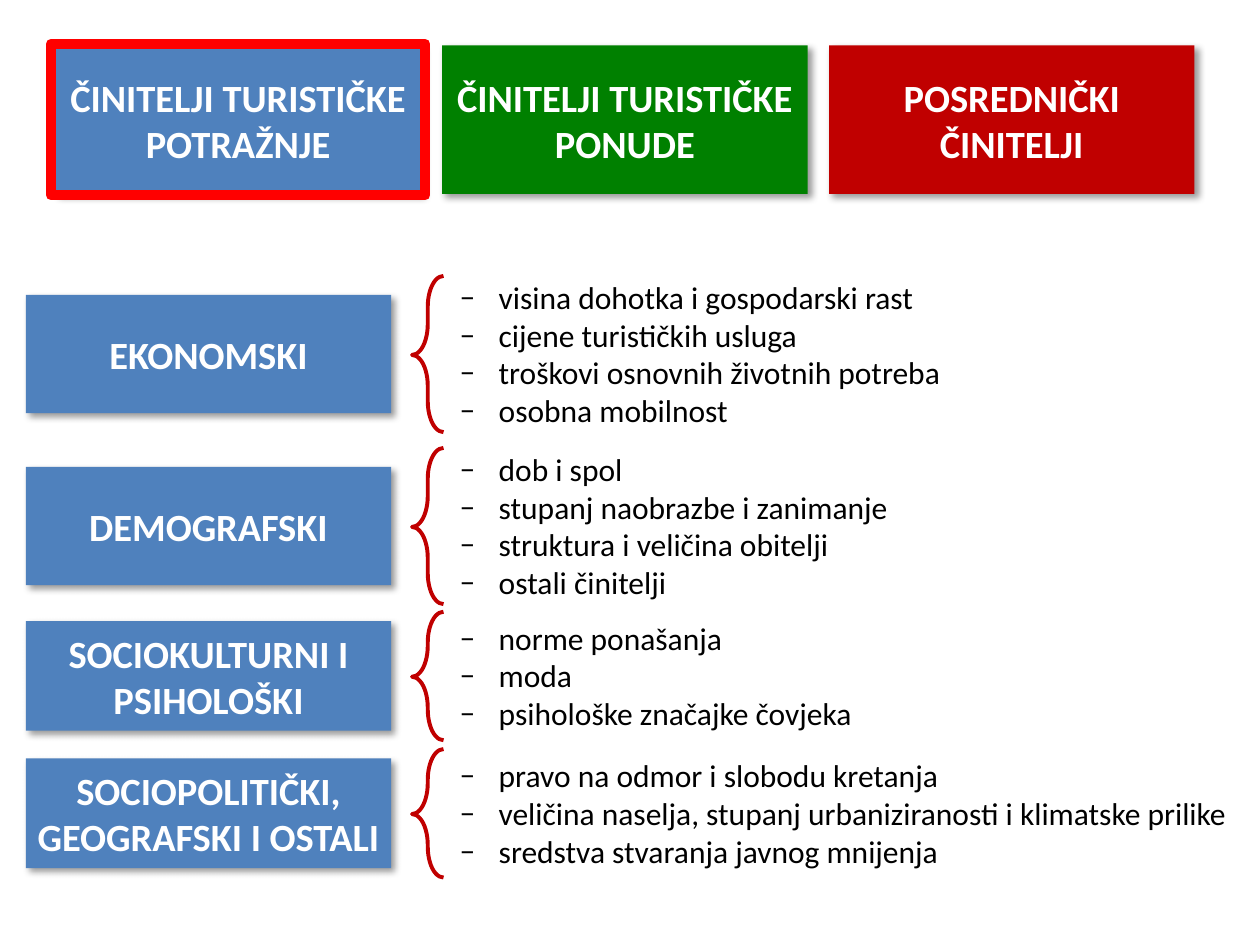
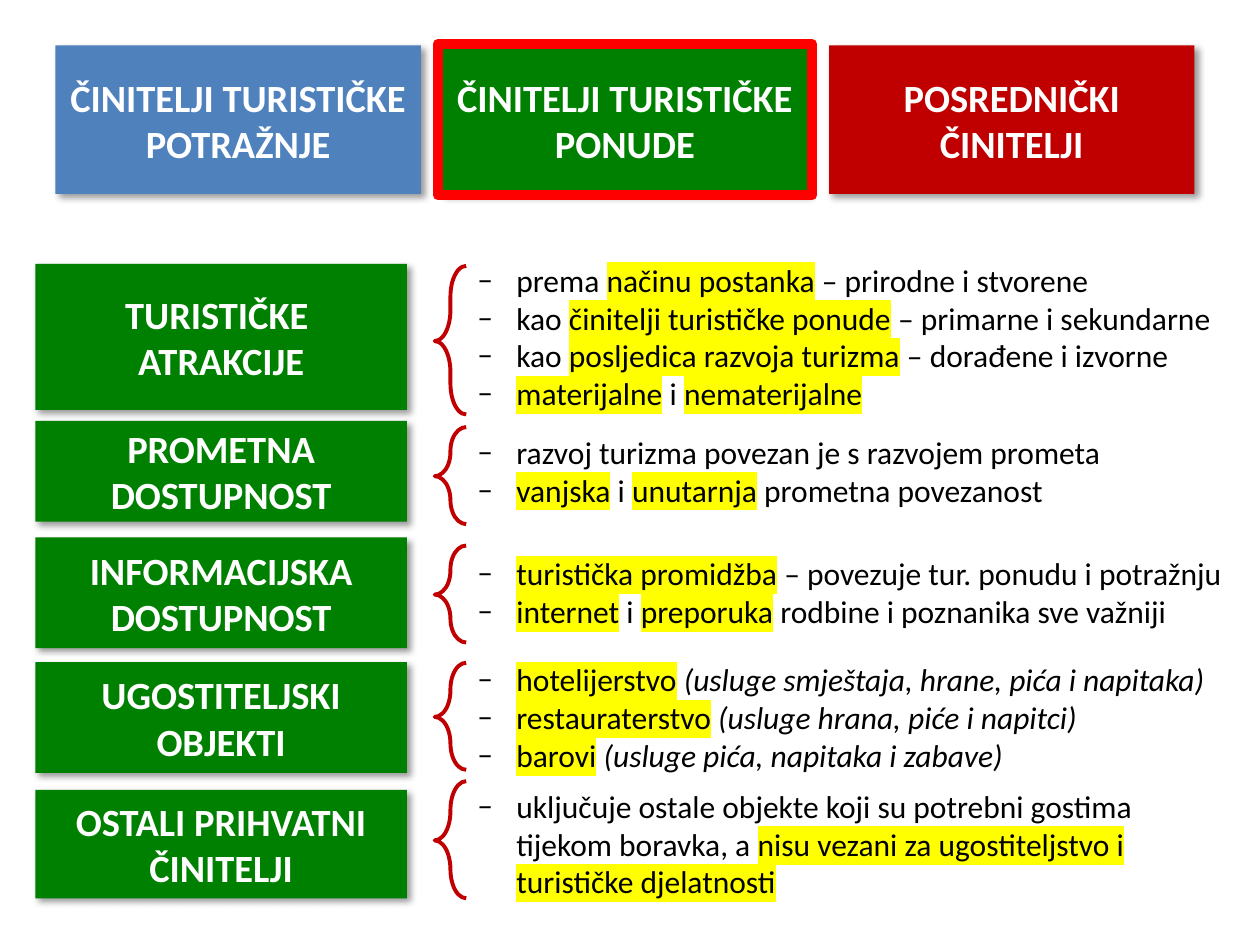
"""Build two slides on the factors of tourist demand and supply."""
from dataclasses import dataclass

import pptx
import pptx.dml.color
import pptx.enum.shapes
import pptx.enum.text
import pptx.oxml
import pptx.oxml.ns
import pptx.util
from lxml import etree

SHAPES = pptx.enum.shapes.MSO_SHAPE
ALIGN = pptx.enum.text.PP_ALIGN
COLUMNS, ROWS = 100, 75
WIDTH, HEIGHT = pptx.util.Inches(10), pptx.util.Inches(7.5)
qn = pptx.oxml.ns.qn


@dataclass(frozen=True)
class Theme:
    """Colours, font and sizes shared by the slides."""
    demand: str = "4F81BD"
    supply: str = "008000"
    intermediary: str = "C00000"
    brace: str = "C00000"
    frame: str = "FF0000"
    highlight: str = "FFFF00"
    light: str = "FFFFFF"
    dark: str = "000000"
    font: str = "Calibri"
    label_size: int = 22
    list_size: int = 18
    brace_line: float = 2.25
    frame_line: float = 6


@dataclass(frozen=True)
class Columns:
    """Horizontal layout of the rows on one slide, in grid columns."""
    label: float
    label_width: float
    brace: float
    items: float


@dataclass(frozen=True)
class Factor:
    """One row: label, brace and list, centred on a grid row."""
    label: str
    items: tuple
    center: float
    label_height: float
    brace_height: float
    items_width: float
    brace_shift: float = 0
    lines: int = 0


THEME = Theme()
HEADERS = (
    ("ČINITELJI TURISTIČKE POTRAŽNJE", THEME.demand),
    ("ČINITELJI TURISTIČKE PONUDE", THEME.supply),
    ("POSREDNIČKI ČINITELJI", THEME.intermediary),
)
HEADER_LEFT, HEADER_TOP, HEADER_STEP = 4.4, 3.6, 30.7
HEADER_WIDTH, HEADER_HEIGHT = 29, 11.8
FRAME_MARGIN_X, FRAME_MARGIN_Y = 0.35, 0.1

DEMAND_COLUMNS = Columns(2.05, 29, 32.7, 35.5)
DEMAND_FACTORS = (
    Factor("EKONOMSKI", (
        "visina dohotka i gospodarski rast",
        "cijene turističkih usluga",
        "troškovi osnovnih životnih potreba",
        "osobna mobilnost",
    ), 28.1, 9.4, 12.4, 49.6),
    Factor("DEMOGRAFSKI", (
        "dob i spol",
        "stupanj naobrazbe i zanimanje",
        "struktura i veličina obitelji",
        "ostali činitelji",
    ), 41.75, 9.4, 12.4, 49.6),
    Factor("SOCIOKULTURNI I PSIHOLOŠKI", (
        "norme ponašanja",
        "moda",
        "psihološke značajke čovjeka",
    ), 53.65, 8.7, 10.2, 49.6),
    Factor("SOCIOPOLITIČKI, GEOGRAFSKI I OSTALI", (
        "pravo na odmor i slobodu kretanja",
        "veličina naselja, stupanj urbaniziranosti i klimatske prilike",
        "sredstva stvaranja javnog mnijenja",
    ), 64.55, 8.7, 10.2, 63.4),
)

SUPPLY_COLUMNS = Columns(2.8, 29.5, 34.5, 36.9)
SUPPLY_FACTORS = (
    Factor("TURISTIČKE \nATRAKCIJE", (
        "prema *načinu postanka* – prirodne i stvorene",
        "kao *činitelji turističke ponude* – primarne i sekundarne",
        "kao *posljedica razvoja turizma* – dorađene i izvorne",
        "*materijalne* i *nematerijalne*",
    ), 26.75, 11.6, 11.8, 60.9, 0.25),
    Factor("PROMETNA DOSTUPNOST", (
        "razvoj turizma povezan je s razvojem prometa",
        "*vanjska* i *unutarnja* prometna povezanost",
    ), 37.4, 8, 7.7, 60.9, 0.35),
    Factor("INFORMACIJSKA DOSTUPNOST", (
        "*turistička promidžba* – povezuje tur. ponudu i potražnju",
        "*internet* i *preporuka* rodbine i poznanika sve važniji",
    ), 47.05, 8.8, 7.7, 62.1, 0.1),
    Factor("UGOSTITELJSKI OBJEKTI", (
        "*hotelijerstvo* _(usluge smještaja, hrane, pića i napitaka)_",
        "*restauraterstvo* _(usluge hrana, piće i napitci)_",
        "*barovi* _(usluge pića, napitaka i zabave)_",
    ), 56.95, 8.8, 8.5, 62.1, -0.1),
    Factor("OSTALI PRIHVATNI ČINITELJI", (
        "uključuje ostale objekte koji su potrebni gostima tijekom boravka, a "
        "*nisu vezani za ugostiteljstvo i turističke djelatnosti*",
    ), 67, 8.6, 9.3, 62.1, -0.35, 3),
)


def across(columns):
    """Convert grid columns to a length."""
    return round(WIDTH * columns / COLUMNS)


def down(rows):
    """Convert grid rows to a length."""
    return round(HEIGHT * rows / ROWS)


def place(left, top, width, height):
    """Convert a grid rectangle to slide lengths."""
    return across(left), down(top), across(width), down(height)


def rgb(color):
    """Return the colour object of a hex value."""
    return pptx.dml.color.RGBColor.from_string(color)


def write(paragraph, text, *, size, color, bold=None, align=None):
    """Write text, where *...* is highlighted and _..._ is italic."""
    paragraph.alignment = align
    for line_number, line in enumerate(text.split("\n")):
        if line_number:
            paragraph.add_line_break()
        for mark, part in enumerate(line.split("*")):
            for slant, piece in enumerate(part.split("_")):
                if not piece:
                    continue
                run = paragraph.add_run()
                run.text = piece
                font = run.font
                font.name, font.size = THEME.font, pptx.util.Pt(size)
                font.bold, font.italic = bold, bool(slant % 2)
                font.color.rgb = rgb(color)
                if mark % 2:
                    add_highlight(run)


def add_highlight(run):
    """Mark a run with the highlight colour."""
    highlight = etree.Element(qn("a:highlight"))
    etree.SubElement(highlight, qn("a:srgbClr"), val=THEME.highlight)
    run.font.fill._xPr.find(qn("a:solidFill")).addnext(highlight)


def add_shadow(shape):
    """Give a shape a soft shadow to the lower right."""
    shape.shadow.inherit = False
    effects = shape._element.spPr.find(qn("a:effectLst"))
    shadow = etree.SubElement(
        effects, qn("a:outerShdw"), blurRad=str(pptx.util.Pt(4)),
        dist=str(pptx.util.Pt(3)), dir="2700000", algn="tl", rotWithShape="0")
    color = etree.SubElement(shadow, qn("a:srgbClr"), val=THEME.dark)
    etree.SubElement(color, qn("a:alpha"), val="40000")


def add_label(slide, text, color, area):
    """Add a filled box with a bold centred label."""
    box = slide.shapes.add_shape(SHAPES.RECTANGLE, *place(*area))
    box.fill.solid()
    box.fill.fore_color.rgb = rgb(color)
    box.line.fill.background()
    add_shadow(box)
    frame = box.text_frame
    frame.word_wrap = True
    frame.vertical_anchor = pptx.enum.text.MSO_ANCHOR.MIDDLE
    frame.margin_left = frame.margin_right = across(0.4)
    frame.margin_top = frame.margin_bottom = 0
    write(frame.paragraphs[0], text, size=THEME.label_size,
          color=THEME.light, bold=True, align=ALIGN.CENTER)


def add_outline(slide, kind, color, line_width, area):
    """Add an unfilled shape with a coloured line."""
    shape = slide.shapes.add_shape(kind, *place(*area))
    shape.shadow.inherit = False
    shape.fill.background()
    shape.line.color.rgb = rgb(color)
    shape.line.width = pptx.util.Pt(line_width)
    return shape


def add_brace(slide, area):
    """Add a brace that opens to the right."""
    brace = add_outline(slide, SHAPES.RIGHT_BRACE, THEME.brace,
                        THEME.brace_line, area)
    brace.adjustments[0], brace.adjustments[1] = 0.98, 0.506
    brace._element.spPr.find(qn("a:xfrm")).set("flipH", "1")


def add_list(slide, items, area):
    """Add a text box with a dashed list."""
    frame = slide.shapes.add_textbox(*place(*area)).text_frame
    frame.word_wrap = True
    frame.auto_size = pptx.enum.text.MSO_AUTO_SIZE.SHAPE_TO_FIT_TEXT
    for number, item in enumerate(items):
        paragraph = frame.add_paragraph() if number else frame.paragraphs[0]
        write(paragraph, item, size=THEME.list_size, color=THEME.dark)
        properties = paragraph._p.get_or_add_pPr()
        properties.set("marL", str(across(3.1)))
        properties.set("indent", str(-across(3.1)))
        etree.SubElement(properties, qn("a:buFont"), typeface=THEME.font)
        etree.SubElement(properties, qn("a:buChar"), char="–")


def add_factor(slide, factor, columns, color):
    """Add one row of label, brace and list."""
    def centered(left, width, height, shift=0):
        """Return an area centred on the row."""
        return left, factor.center + shift - height / 2, width, height

    items_height = 3 * (factor.lines or len(factor.items)) + 1.1
    add_label(slide, factor.label, color, centered(
        columns.label, columns.label_width, factor.label_height))
    add_list(slide, factor.items, centered(
        columns.items, factor.items_width, items_height))
    add_brace(slide, centered(
        columns.brace, 2.5, factor.brace_height, factor.brace_shift))


def add_headers(slide, selected):
    """Add the three headers and frame the selected one."""
    for number, (text, color) in enumerate(HEADERS):
        left = HEADER_LEFT + number * HEADER_STEP
        add_label(slide, text, color,
                  (left, HEADER_TOP, HEADER_WIDTH, HEADER_HEIGHT))
    left = HEADER_LEFT + selected * HEADER_STEP
    add_outline(slide, SHAPES.RECTANGLE, THEME.frame, THEME.frame_line, (
        left - FRAME_MARGIN_X, HEADER_TOP - FRAME_MARGIN_Y,
        HEADER_WIDTH + 2 * FRAME_MARGIN_X,
        HEADER_HEIGHT + 2 * FRAME_MARGIN_Y))


def main():
    """Build and save the presentation."""
    presentation = pptx.Presentation()
    presentation.slide_width, presentation.slide_height = WIDTH, HEIGHT
    blank = presentation.slide_layouts.get_by_name("Blank")
    contents = ((DEMAND_COLUMNS, DEMAND_FACTORS),
                (SUPPLY_COLUMNS, SUPPLY_FACTORS))
    for selected, (columns, factors) in enumerate(contents):
        slide = presentation.slides.add_slide(blank)
        for factor in factors:
            add_factor(slide, factor, columns, HEADERS[selected][1])
        add_headers(slide, selected)
    presentation.save("out.pptx")


if __name__ == "__main__":
    main()
